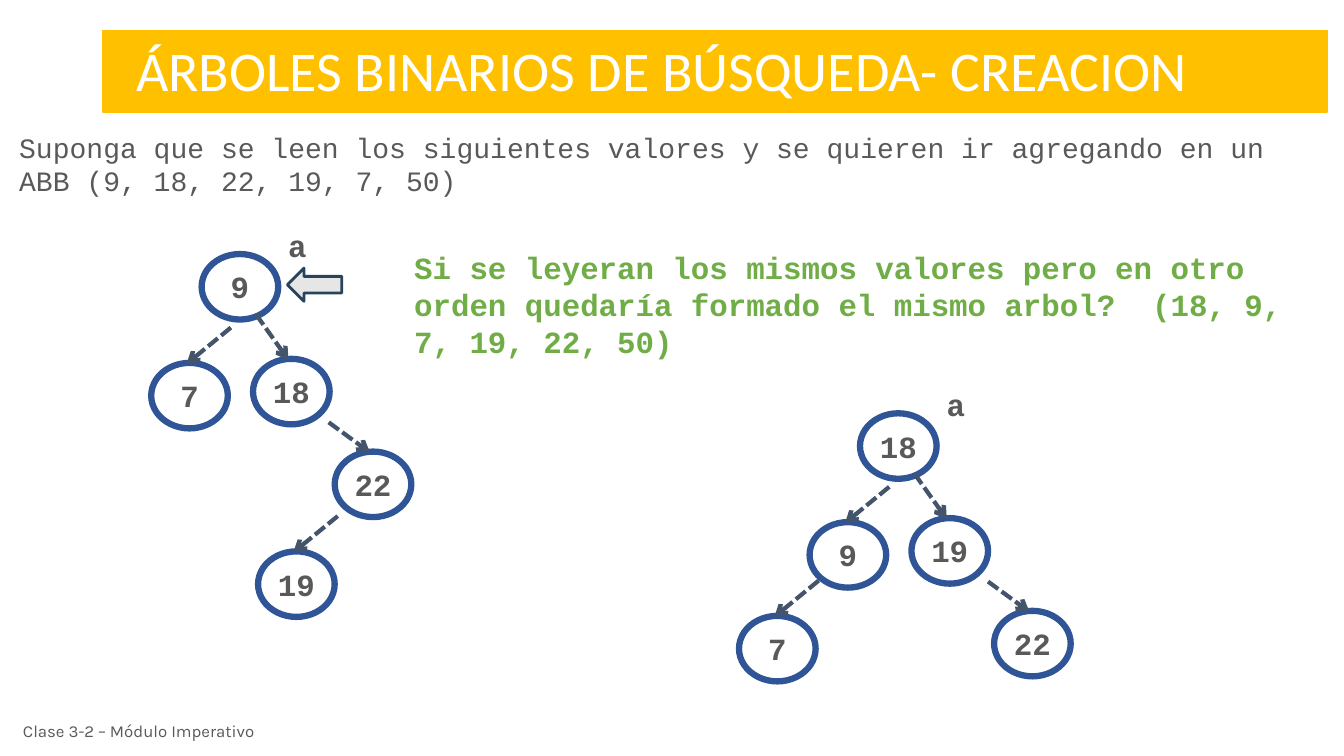
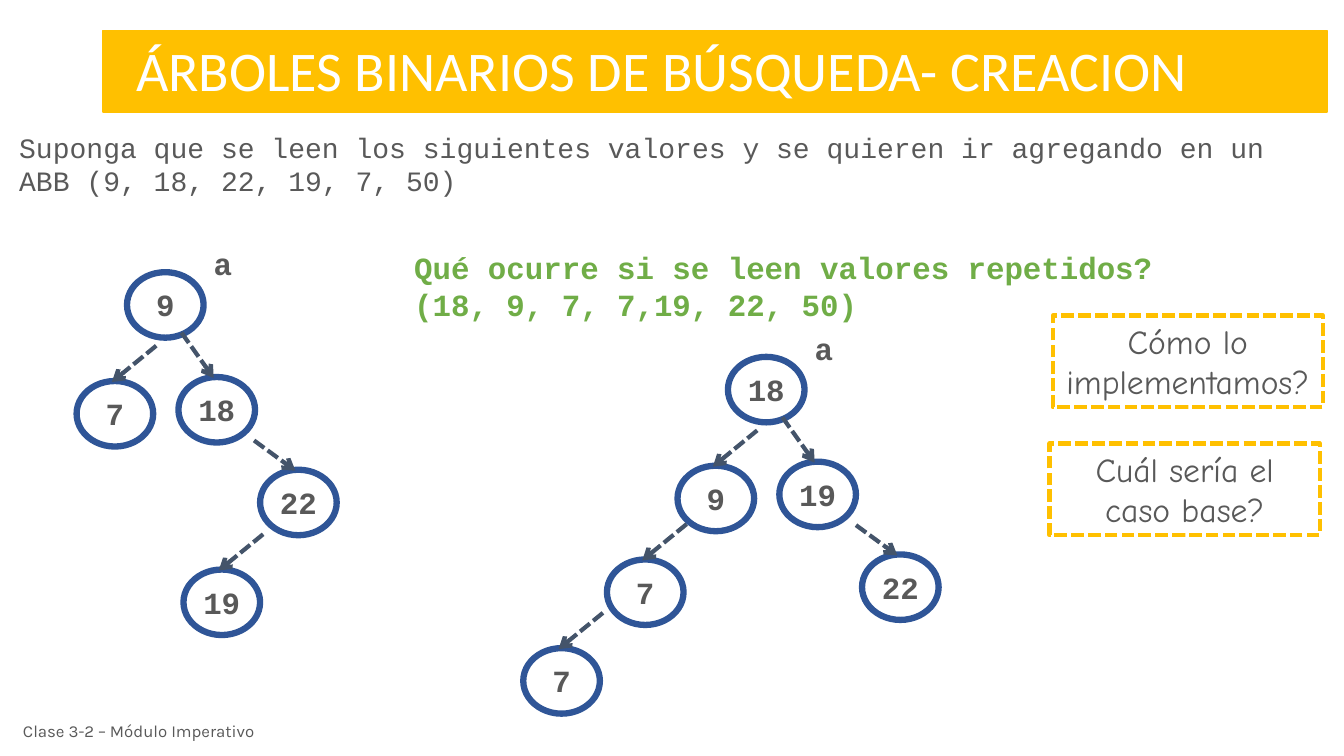
from lxml.etree import SubElement
from pptx import Presentation
from pptx.dml.color import RGBColor
from pptx.enum.dml import MSO_LINE
from pptx.enum.shapes import MSO_CONNECTOR, MSO_SHAPE
from pptx.enum.text import MSO_ANCHOR, MSO_AUTO_SIZE, PP_ALIGN
from pptx.oxml.ns import qn
from pptx.util import Inches, Pt

COLORS = {
    "band": "FFC000", "white": "FFFFFF", "text": "595959", "question": "70AD47",
    "node": "2F5597", "branch": "44546A", "pointer": "E7E6E6", "pointer_edge": "28445D",
}
STYLES = {
    "title": ({"name": "Calibri", "size": Pt(40), "bold": False}, "white", PP_ALIGN.LEFT, 1),
    "footer": ({"name": "Karla", "size": Pt(12)}, "text", PP_ALIGN.LEFT, 1),
    "statement": ({"name": "Courier New", "size": Pt(20)}, "text", PP_ALIGN.LEFT, 1),
    "question": ({"name": "Courier New", "size": Pt(22), "bold": True}, "question", PP_ALIGN.LEFT, 1),
    "node": ({"name": "Courier New", "size": Pt(22), "bold": True}, "text", PP_ALIGN.CENTER, 0.9),
    "callout": ({"name": "Comic Neue", "size": Pt(24)}, "text", PP_ALIGN.CENTER, 1),
}
TITLE = "ÁRBOLES BINARIOS DE BÚSQUEDA- CREACION"
STATEMENT = ("Suponga que se leen los siguientes valores y se quieren ir agregando "
             "en un ABB (9, 18, 22, 19, 7, 50)")
FOOTER = "Clase 3-2 – Módulo Imperativo"

LEFT_BRANCH = (0.44, -0.36)
RIGHT_BRANCH = (-0.32, -0.45)
OUTER_BRANCH = (-0.41, -0.3)
TREE_FROM_9 = [
    ("9", 0, 0, None),
    ("18", 0.51, 1.04, RIGHT_BRANCH),
    ("22", 1.32, 1.96, OUTER_BRANCH),
    ("19", 0.56, 2.95, LEFT_BRANCH),
    ("7", -0.5, 1.08, LEFT_BRANCH),
]
TREE_FROM_18 = [
    ("18", 0, 0, None),
    ("19", 0.51, 1.04, RIGHT_BRANCH),
    ("22", 1.33, 1.96, OUTER_BRANCH),
    ("9", -0.5, 1.08, LEFT_BRANCH),
    ("7", -1.2, 2.01, LEFT_BRANCH),
]
REPEATED_7 = ("7", -2.03, 2.89, LEFT_BRANCH)
PAGES = [
    {
        "question": ["Si se leyeran los mismos valores pero en otro orden quedaría "
                     "formado el mismo arbol?  (18, 9, 7, 19, 22, 50)"],
        "trees": [(2, 2.52, TREE_FROM_9), (8.53, 4.1, TREE_FROM_18)],
        "pointers": [(2.85, 2.66)],
        "callouts": [],
    },
    {
        "question": ["Qué ocurre si se leen valores repetidos?", "(18, 9, 7, 7,19, 22, 50)"],
        "trees": [(1.26, 2.7, TREE_FROM_9), (7.22, 3.54, TREE_FROM_18 + [REPEATED_7])],
        "pointers": [],
        "callouts": [("Cómo lo implementamos?", 10.44, 3.13), ("Cuál sería el caso base?", 10.41, 4.4)],
    },
]


def write(shape, lines, style, anchor=MSO_ANCHOR.TOP, **margins):
    font_values, color, alignment, spacing = STYLES[style]
    frame = shape.text_frame
    frame_values = {"word_wrap": True, "auto_size": MSO_AUTO_SIZE.NONE, "vertical_anchor": anchor}
    for key, value in (frame_values | margins).items():
        setattr(frame, key, value)
    frame.text = "\n".join(lines)
    for paragraph in frame.paragraphs:
        paragraph_values = {"alignment": alignment, "line_spacing": spacing, "space_before": Pt(0)}
        for key, value in paragraph_values.items():
            setattr(paragraph, key, value)
        font = paragraph.runs[0].font
        for key, value in font_values.items():
            setattr(font, key, value)
        font.color.rgb = RGBColor.from_string(COLORS[color])


def paint(shape, fill, line, width):
    shape.shadow.inherit = False
    if fill:
        shape.fill.solid()
        shape.fill.fore_color.rgb = RGBColor.from_string(COLORS[fill])
    else:
        shape.fill.background()
    shape.line.color.rgb = RGBColor.from_string(COLORS[line])
    shape.line.width = Pt(width)


prs = Presentation()
prs.slide_width, prs.slide_height = Inches(13.33), Inches(7.5)

for page in PAGES:
    slide = prs.slides.add_slide(prs.slide_layouts[1])
    shapes = slide.shapes
    title, statement = shapes.title, slide.placeholders[1]
    places = [(title, (1.02, 0.3, 12.14, 0.81)), (statement, (0.09, 1.24, 13.04, 0.77))]
    for placeholder, box in places:
        for key, value in zip(("left", "top", "width", "height"), box):
            setattr(placeholder, key, Inches(value))
    title.fill.solid()
    title.fill.fore_color.rgb = RGBColor.from_string(COLORS["band"])
    title.line.color.rgb = RGBColor.from_string(COLORS["band"])
    title.line.width = Pt(1)
    write(title, [TITLE], "title", margin_left=Inches(0.33))

    write(statement, [STATEMENT], "statement")
    for properties in statement.element.iter(qn("a:pPr")):
        properties.set("marL", "0")
        properties.set("indent", "0")
        SubElement(properties, qn("a:buNone"))

    footer = shapes.add_textbox(Inches(0.13), Inches(7.02), Inches(2.97), Inches(0.45))
    write(footer, [FOOTER], "footer", MSO_ANCHOR.MIDDLE)
    question = shapes.add_textbox(Inches(4.01), Inches(2.42), Inches(9.12), Inches(1.21))
    write(question, page["question"], "question")

    for root_x, root_y, nodes in page["trees"]:
        root_name = shapes.add_textbox(Inches(root_x + 0.58), Inches(root_y - 0.28), Inches(0.74), Inches(0.5))
        write(root_name, ["a"], "node")
        for value, dx, dy, branch_start in nodes:
            x, y = root_x + dx, root_y + dy
            node = shapes.add_shape(MSO_SHAPE.OVAL, Inches(x), Inches(y), Inches(0.76), Inches(0.65))
            paint(node, None, "node", 4.5)
            write(node, [value], "node", MSO_ANCHOR.MIDDLE, margin_left=0, margin_right=0,
                  margin_top=Inches(0.04), margin_bottom=0)
            if branch_start:
                tip_x, tip_y = x + 0.35, y + 0.01
                branch = shapes.add_connector(
                    MSO_CONNECTOR.STRAIGHT, Inches(tip_x + branch_start[0]), Inches(tip_y + branch_start[1]),
                    Inches(tip_x), Inches(tip_y))
                branch.line.color.rgb = RGBColor.from_string(COLORS["branch"])
                branch.line.width = Pt(3)
                branch.line.dash_style = MSO_LINE.SQUARE_DOT
                properties = branch.element.spPr
                SubElement(properties.find(qn("a:ln")), qn("a:tailEnd"), type="arrow")
                SubElement(properties, qn("a:effectLst"))

    for x, y in page["pointers"]:
        pointer = shapes.add_shape(MSO_SHAPE.LEFT_ARROW, Inches(x), Inches(y), Inches(0.54), Inches(0.33))
        paint(pointer, "pointer", "pointer_edge", 2)

    for text, x, y in page["callouts"]:
        callout = shapes.add_shape(MSO_SHAPE.RECTANGLE, Inches(x), Inches(y), Inches(2.68), Inches(0.91))
        paint(callout, None, "band", 3)
        callout.line.dash_style = MSO_LINE.SQUARE_DOT
        write(callout, [text], "callout")

prs.save("out.pptx")
